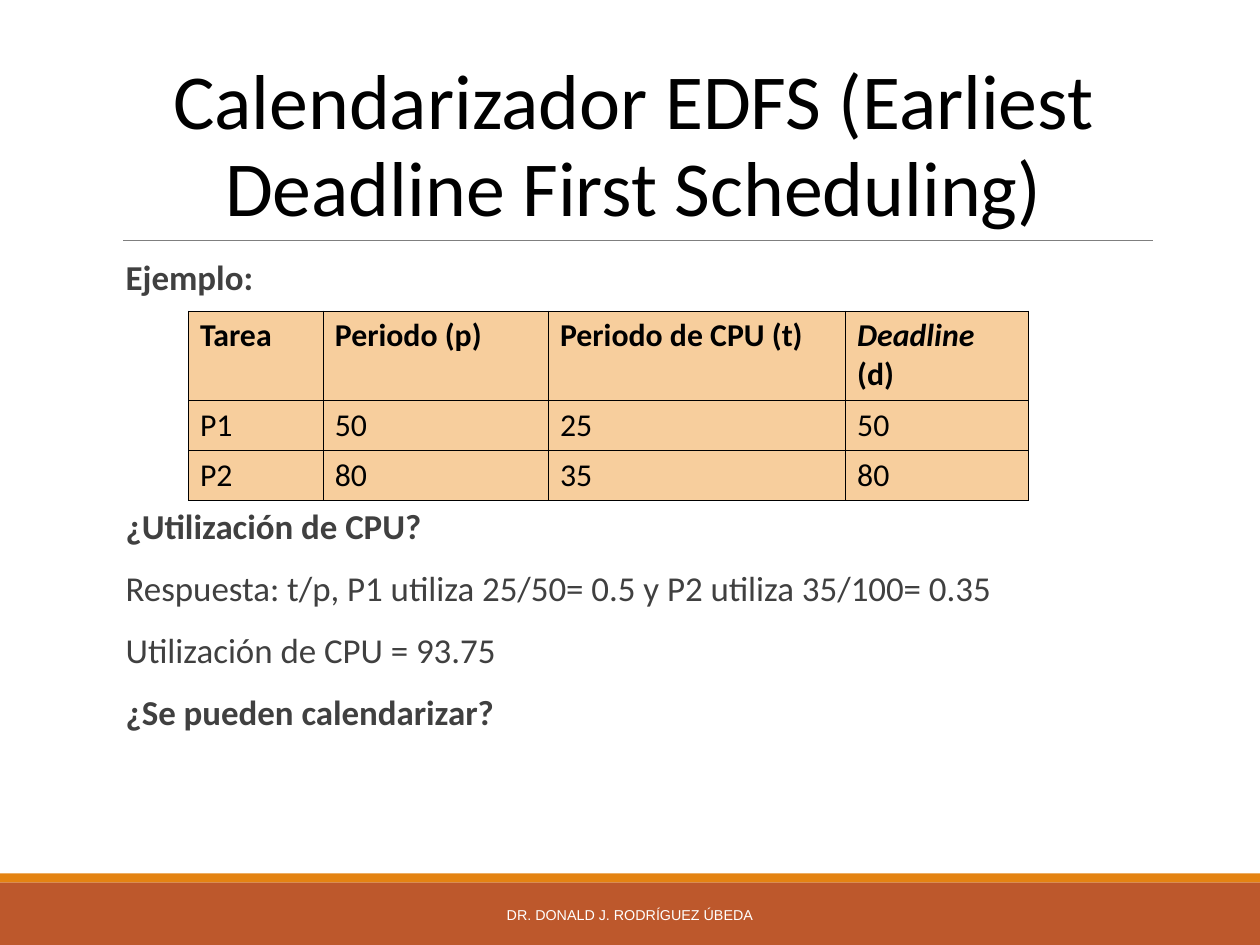
from dataclasses import dataclass

from lxml.etree import SubElement
from pptx import Presentation
from pptx.dml.color import RGBColor
from pptx.enum.shapes import MSO_CONNECTOR, MSO_SHAPE
from pptx.enum.text import MSO_ANCHOR, PP_ALIGN
from pptx.oxml.ns import qn
from pptx.util import Inches, Pt


@dataclass(frozen=True)
class Theme:
    font: str = "Calibri"
    foot_font: str = "Arial"
    black: str = "000000"
    white: str = "FFFFFF"
    gray: str = "404040"
    rule: str = "7F7F7F"
    rust: str = "BD582C"
    orange: str = "E48312"
    peach: str = "F7CE9D"
    title: float = 49
    body: float = 22
    cell: float = 20
    foot: float = 9
    border: float = 0.45


THEME = Theme()
# The page measures 28 by 21 cm
WIDTH, HEIGHT = 28 / 2.54, 21 / 2.54

ROWS = [
    ["Tarea", "Periodo (p)", "Periodo de CPU (t)", "Deadline (d)"],
    ["P1", "50", "25", "50"],
    ["P2", "80", "35", "80"],
]
COLS = [1.18, 1.97, 2.6, 1.6]
HEIGHTS = [0.78, 0.44, 0.44]

# Text, bold, space before in points (the second line clears the table)
LINES = [
    ("Ejemplo:", True, 0),
    ("¿Utilización de CPU?", True, 130.5),
    ("Respuesta: t/p, P1 utiliza 25/50= 0.5 y P2 utiliza 35/100= 0.35", False, 13.2),
    ("Utilización de CPU = 93.75", False, 13.2),
    ("¿Se pueden calendarizar?", True, 13.2),
]


def color(code):
    return RGBColor.from_string(code)


def add_run(para, text, size, ink, font=THEME.font, bold=False, italic=False):
    run = para.add_run()
    run.text = text
    run.font.size = Pt(size)
    run.font.name = font
    run.font.bold = bold
    run.font.italic = italic
    run.font.color.rgb = color(ink)


def add_box(slide, box, anchor, inset=0.1):
    frame = slide.shapes.add_textbox(*map(Inches, box)).text_frame
    frame.word_wrap = True
    frame.vertical_anchor = anchor
    frame.margin_left = frame.margin_right = Inches(inset)
    return frame


def add_band(slide, box, fill):
    band = slide.shapes.add_shape(MSO_SHAPE.RECTANGLE, *map(Inches, box))
    band.shadow.inherit = False
    band.fill.solid()
    band.fill.fore_color.rgb = color(fill)
    band.line.fill.background()


def add_title(slide, box):
    left, top, width, height = box
    # Rule under the title
    low = Inches(top + height)
    rule = slide.shapes.add_connector(
        MSO_CONNECTOR.STRAIGHT, Inches(left + 0.09), low, Inches(left + width), low)
    rule.line.color.rgb = color(THEME.rule)
    rule.line.width = Pt(0.5)
    SubElement(rule.element.spPr, qn("a:effectLst"))
    # Title text
    para = add_box(slide, box, MSO_ANCHOR.BOTTOM).paragraphs[0]
    para.alignment = PP_ALIGN.CENTER
    para.line_spacing = 0.94
    add_run(para, "Calendarizador EDFS (Earliest Deadline First Scheduling)",
            THEME.title, THEME.black)


def add_body(slide, box):
    frame = add_box(slide, box, MSO_ANCHOR.TOP, 0.11)
    for index, (text, bold, before) in enumerate(LINES):
        para = frame.add_paragraph() if index else frame.paragraphs[0]
        para.line_spacing = 0.9
        para.space_before = Pt(before)
        para.space_after = Pt(2.2)
        add_run(para, text, THEME.body, THEME.gray, bold=bold)


def add_border(cell):
    props = cell._tc.get_or_add_tcPr()
    for spot, side in enumerate(("a:lnL", "a:lnR", "a:lnT", "a:lnB")):
        line = props.makeelement(qn(side), {"w": str(int(Pt(THEME.border)))})
        fill = SubElement(line, qn("a:solidFill"))
        SubElement(fill, qn("a:srgbClr"), val=THEME.black)
        props.insert(spot, line)


def add_tasks(slide, box):
    table = slide.shapes.add_table(len(ROWS), len(COLS), *map(Inches, box)).table
    table.first_row = table.horz_banding = False
    for col, width in zip(table.columns, COLS):
        col.width = Inches(width)
    for row, height in zip(table.rows, HEIGHTS):
        row.height = Inches(height)
    for r, texts in enumerate(ROWS):
        for c, text in enumerate(texts):
            cell = table.cell(r, c)
            cell.fill.solid()
            cell.fill.fore_color.rgb = color(THEME.peach)
            add_border(cell)
            para = cell.text_frame.paragraphs[0]
            # The English term is set in italics
            head, term, tail = text.partition("Deadline")
            for part in filter(None, (head, term, tail)):
                add_run(para, part, THEME.cell, THEME.black,
                        bold=r == 0, italic=part == term)


def add_footer(slide, box):
    left, top, width, height = box
    strip = 0.08
    add_band(slide, (left, top + strip, width, height - strip), THEME.rust)
    add_band(slide, (left, top, width, strip), THEME.orange)
    # Author
    name = (left + 3.33, top + 0.15, 4.36, 0.44)
    para = add_box(slide, name, MSO_ANCHOR.MIDDLE).paragraphs[0]
    para.alignment = PP_ALIGN.CENTER
    para.line_spacing = 0.94
    add_run(para, "DR. DONALD J. RODRÍGUEZ ÚBEDA", THEME.foot, THEME.white,
            THEME.foot_font)


def main():
    deck = Presentation()
    deck.slide_width, deck.slide_height = Inches(WIDTH), Inches(HEIGHT)
    slide = deck.slides.add_slide(deck.slide_layouts[6])
    add_footer(slide, (0, 7.64, WIDTH, HEIGHT - 7.64))
    add_title(slide, (0.99, 0.35, 9.1, 1.75))
    add_body(slide, (0.99, 2.23, 9.1, 4.85))
    add_tasks(slide, (1.65, 2.72, sum(COLS), sum(HEIGHTS)))
    deck.save("out.pptx")


if __name__ == "__main__":
    main()
